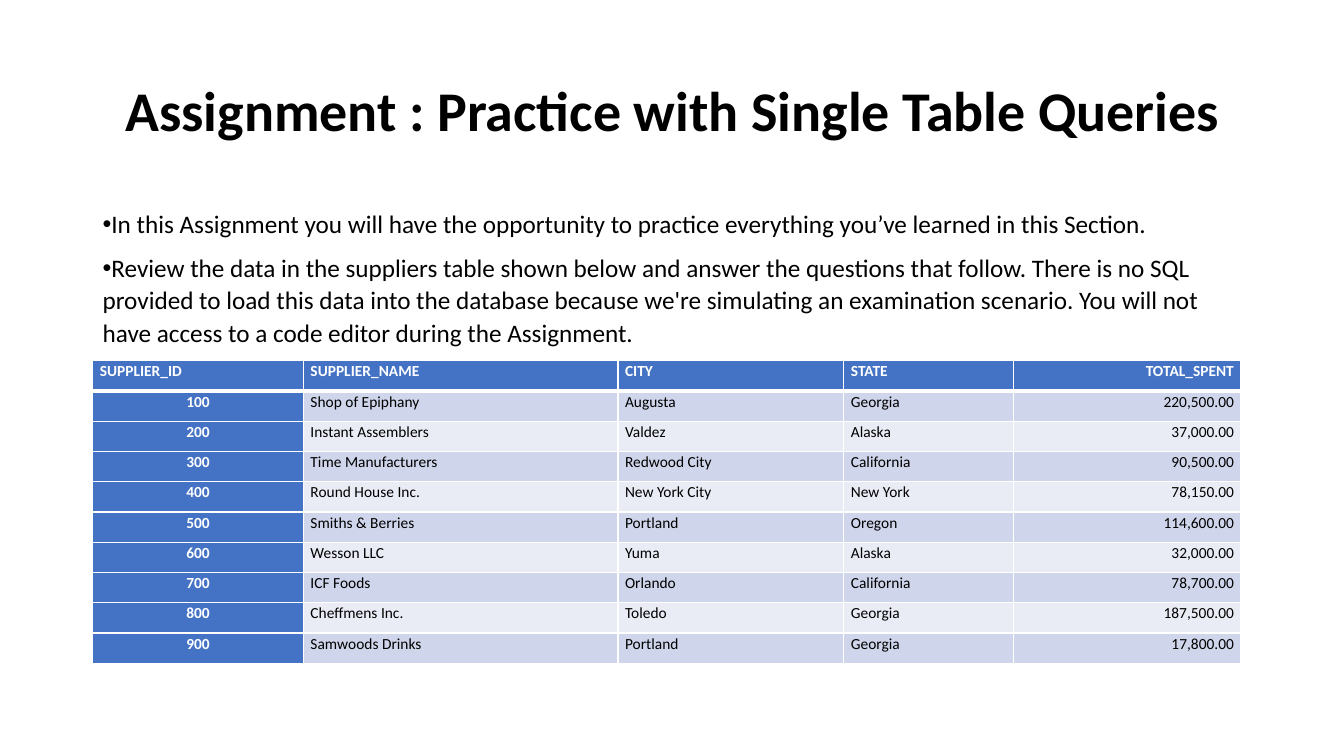
"""Build the slide that introduces the single table query assignment."""
import pptx
import pptx.dml.color
import pptx.enum.text
import pptx.oxml
import pptx.oxml.ns
import pptx.util

Inches, Pt = pptx.util.Inches, pptx.util.Pt
Align = pptx.enum.text.PP_ALIGN
Anchor = pptx.enum.text.MSO_ANCHOR
colours = {"text": "000000", "white": "FFFFFF", "header": "4472C4",
           "odd band": "CFD5EA", "even band": "E9EBF5"}
left, text_width = 0.92, 11.5
row_height = 0.3
column_widths = [2.09, 3.12, 2.24, 1.68, 2.26]


def write(paragraph, text, size=11, colour="text", bold=False,
          align=Align.LEFT, line=1.07, after=0, bullet=None):
    """Put formatted text in a paragraph."""
    paragraph.alignment = align
    paragraph.line_spacing = line
    paragraph.space_after = Pt(after)
    run = paragraph.add_run()
    run.text = text
    run.font.name = "Calibri"
    run.font.size = Pt(size)
    run.font.bold = bold
    run.font.color.rgb = pptx.dml.color.RGBColor.from_string(colours[colour])
    if bullet:
        properties = paragraph._p.get_or_add_pPr()
        properties.set("marL", "0")
        properties.set("indent", str(Inches(-0.25)))
        namespace = pptx.oxml.ns.nsdecls("a")
        for tag in (f'<a:buFont {namespace} typeface="Arial"/>',
                    f'<a:buChar {namespace} char="{bullet}"/>'):
            properties.append(pptx.oxml.parse_xml(tag))


def add_border(cell, side, width):
    """Draw one white edge of a table cell."""
    cell._tc.get_or_add_tcPr().append(pptx.oxml.parse_xml(
        f'<a:ln{side} {pptx.oxml.ns.nsdecls("a")} w="{Pt(width)}"><a:solidFill>'
        f'<a:srgbClr val="{colours["white"]}"/></a:solidFill></a:ln{side}>'))


presentation = pptx.Presentation()
presentation.slide_width = Inches(13.33)
presentation.slide_height = Inches(7.5)
slide = presentation.slides.add_slide(presentation.slide_layouts[6])

title = slide.shapes.add_textbox(Inches(left), Inches(0.4), Inches(text_width), Inches(1.45))
title.text_frame.word_wrap = True
title.text_frame.vertical_anchor = Anchor.MIDDLE
write(title.text_frame.paragraphs[0], "Assignment : Practice with Single Table Queries",
      size=40, bold=True, align=Align.CENTER, line=0.9)

instructions = [
    "In this Assignment you will have the opportunity to practice everything "
    "you\u2019ve learned in this Section.",
    "Review the data in the suppliers table shown below and answer the questions "
    "that follow. There is no SQL provided to load this data into the database "
    "because we're simulating an examination scenario. You will not have access "
    "to a code editor during the Assignment.",
]
body = slide.shapes.add_textbox(Inches(left), Inches(2), Inches(text_width), Inches(4.76))
body.text_frame.word_wrap = True
for index, instruction in enumerate(instructions):
    paragraph = body.text_frame.add_paragraph() if index else body.text_frame.paragraphs[0]
    write(paragraph, instruction, size=18, after=8, bullet="\u2022")

suppliers = [
    ("SUPPLIER_ID", "SUPPLIER_NAME", "CITY", "STATE", "TOTAL_SPENT"),
    ("100", "Shop of Epiphany", "Augusta", "Georgia", "220,500.00"),
    ("200", "Instant Assemblers", "Valdez", "Alaska", "37,000.00"),
    ("300", "Time Manufacturers", "Redwood City", "California", "90,500.00"),
    ("400", "Round House Inc.", "New York City", "New York", "78,150.00"),
    ("500", "Smiths & Berries", "Portland", "Oregon", "114,600.00"),
    ("600", "Wesson LLC", "Yuma", "Alaska", "32,000.00"),
    ("700", "ICF Foods", "Orlando", "California", "78,700.00"),
    ("800", "Cheffmens Inc.", "Toledo", "Georgia", "187,500.00"),
    ("900", "Samwoods Drinks", "Portland", "Georgia", "17,800.00"),
]
table = slide.shapes.add_table(
    len(suppliers), len(column_widths), Inches(left), Inches(3.58),
    Inches(sum(column_widths)), Inches(row_height * len(suppliers))).table
table.first_col = True
for column, width in zip(table.columns, column_widths):
    column.width = Inches(width)

for row_index, supplier in enumerate(suppliers):
    table.rows[row_index].height = Inches(row_height)
    for column_index, value in enumerate(supplier):
        cell = table.cell(row_index, column_index)
        is_heading = row_index == 0 or column_index == 0
        band = "odd band" if row_index % 2 else "even band"
        align = Align.LEFT
        if column_index == len(column_widths) - 1:
            align = Align.RIGHT
        elif column_index == 0 and row_index > 0:
            align = Align.CENTER
        cell.margin_left = cell.margin_right = Inches(0.07)
        cell.margin_top = cell.margin_bottom = 0
        for side in "LRTB":
            thick = (row_index, side) in ((0, "B"), (1, "T"))
            add_border(cell, side, 3 if thick else 1)
        cell.fill.solid()
        cell.fill.fore_color.rgb = pptx.dml.color.RGBColor.from_string(
            colours["header" if is_heading else band])
        write(cell.text_frame.paragraphs[0], value, bold=is_heading, align=align,
              colour="white" if is_heading else "text")

presentation.save("out.pptx")
